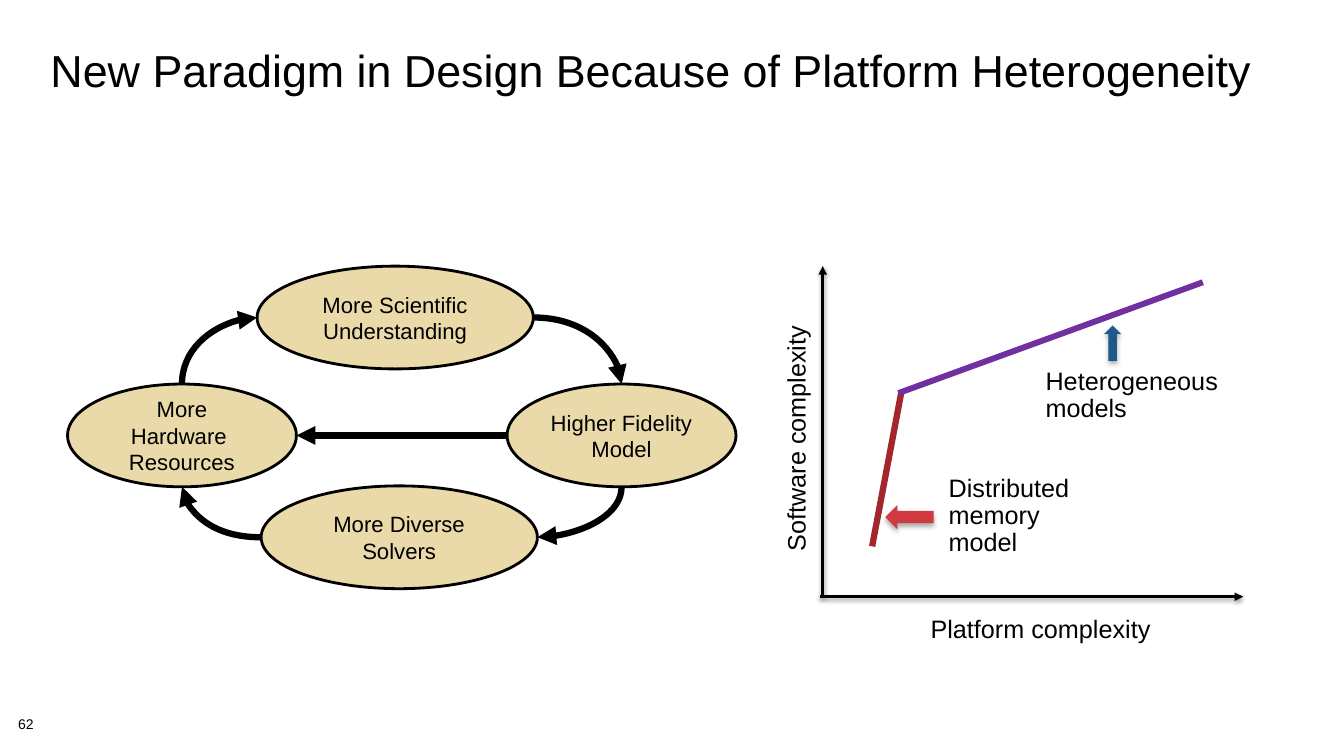
from lxml import etree
from pptx import Presentation
from pptx.dml.color import RGBColor
from pptx.enum.shapes import MSO_CONNECTOR, MSO_SHAPE
from pptx.enum.text import MSO_ANCHOR, MSO_AUTO_SIZE, PP_ALIGN
from pptx.oxml.ns import qn
from pptx.util import Inches, Pt

STRAIGHT, CURVE = MSO_CONNECTOR.STRAIGHT, MSO_CONNECTOR.CURVE
ELLIPSE, LEFT_ARROW, UP_ARROW = MSO_SHAPE.OVAL, MSO_SHAPE.LEFT_ARROW, MSO_SHAPE.UP_ARROW
LEFT, CENTER = PP_ALIGN.LEFT, PP_ALIGN.CENTER
TOP, MIDDLE = MSO_ANCHOR.TOP, MSO_ANCHOR.MIDDLE
FIT_SHAPE, NO_FIT = MSO_AUTO_SIZE.SHAPE_TO_FIT_TEXT, MSO_AUTO_SIZE.NONE

# Content, with lengths in inches
SLIDE_SIZE = (13.33, 7.5)
TITLE = "New Paradigm in Design Because of Platform Heterogeneity"
TITLE_BOX = (0.4, 0.46, 12.44, 1)
PAGE_NUMBER = "62"
BLACK, SAND = "000000", "EAD9A9"

ELLIPSE_HEIGHT = 1.02
STAGES = {  # name: (left, top, width, lines)
    "understanding": (2.55, 2.64, 2.74, ["More Scientific Understanding"]),
    "model": (5.03, 3.81, 2.27, ["Higher Fidelity", "Model"]),
    "solvers": (2.59, 4.82, 2.74, ["More Diverse", "Solvers"]),
    "hardware": (0.67, 3.81, 2.27, ["More Hardware ", "Resources"]),
}
# Connection sites of an ellipse: (index, share of width, share of height)
SITES = {"top": (0, 0.5, 0), "left": (2, 0, 0.5),
         "bottom": (4, 0.5, 1), "right": (6, 1, 0.5)}
# Clockwise cycle: each curve is turned a further quarter
CYCLE = [
    ("understanding", "right", "model", "top"),
    ("model", "bottom", "solvers", "right"),
    ("solvers", "left", "hardware", "bottom"),
    ("hardware", "top", "understanding", "left"),
]

AXIS_X, AXIS_Y = 8.16, 5.92
AXIS_SHADOW = (38, 3.1, 1.6)  # opacity in percent, blur and distance in points
ARROW_SHADOW = (32, 3.5, 2.2)
AXES = [
    ((AXIS_X - 0.03, AXIS_Y), (12.33, AXIS_Y)),
    ((AXIS_X, AXIS_Y), (AXIS_X, 2.64)),
]
TRENDS = [
    ((8.65, 5.42), (8.94, 3.89), "A2262B", 4.5),
    ((8.91, 3.9), (11.93, 2.8), "7030A0", 4.25),
]
LABELS = [  # box, rotation, wrap, lines
    ((9.1, 6.02, 2.46, 0.47), 0, False, ["Platform complexity"]),
    ((6.65, 4.1, 2.52, 0.48), 270, True, ["Software complexity"]),
    ((9.28, 4.61, 1.54, 1.02), 0, False, ["Distributed", "memory", "model"]),
    ((10.24, 3.55, 1.99, 0.75), 0, False, ["Heterogeneous", "models"]),
]
POINTERS = [
    (LEFT_ARROW, (8.78, 5.01, 0.48, 0.24), "D13940"),
    (UP_ARROW, (10.95, 3.23, 0.17, 0.35), "20588C"),
]


def color(value):
    return RGBColor.from_string(value)


def inches(values):
    return [Inches(value) for value in values]


def write(shape, lines, size, align=LEFT, spacing=1.0, insets=None, **frame_format):
    frame = shape.text_frame
    if insets is not None:
        horizontal, vertical = inches(insets)
        frame_format |= {"margin_left": horizontal, "margin_right": horizontal,
                         "margin_top": vertical, "margin_bottom": vertical}
    for name, value in frame_format.items():
        setattr(frame, name, value)
    for index, line in enumerate(lines):
        paragraph = frame.add_paragraph() if index else frame.paragraphs[0]
        paragraph.text = line
        paragraph.alignment = align
        paragraph.line_spacing = spacing
        for name, value in {"name": "Arial", "size": Pt(size)}.items():
            setattr(paragraph.font, name, value)
        paragraph.font.color.rgb = color(BLACK)


def set_effects(shape, shadow=None):
    properties = shape._element.spPr
    for old in properties.findall(qn("a:effectLst")):
        properties.remove(old)
    effects = etree.SubElement(properties, qn("a:effectLst"))
    if shadow:
        opacity, blur, distance = shadow
        outer = etree.SubElement(effects, qn("a:outerShdw"), blurRad=str(Pt(blur)),
                                 dist=str(Pt(distance)), dir="5400000", rotWithShape="0")
        tint = etree.SubElement(outer, qn("a:srgbClr"), val=BLACK)
        etree.SubElement(tint, qn("a:alpha"), val=str(opacity * 1000))


def add_line(slide, start, end, line_color, width, kind=STRAIGHT, arrow=True, shadow=None):
    line = slide.shapes.add_connector(kind, *inches(start + end))
    line.line.color.rgb = color(line_color)
    line.line.width = Pt(width)
    if arrow:
        etree.SubElement(line.line._get_or_add_ln(), qn("a:tailEnd"), type="triangle")
    set_effects(line, shadow)
    return line


def site_point(stage, side):
    left, top, width, _ = STAGES[stage]
    _, across, down = SITES[side]
    return (left + across * width, top + down * ELLIPSE_HEIGHT)


def add_curve(slide, ellipses, link, turns):
    source, source_side, target, target_side = link
    start, end = site_point(source, source_side), site_point(target, target_side)
    middle = [(a + b) / 2 for a, b in zip(start, end)]
    half = [abs(a - b) / 2 for a, b in zip(start, end)]
    if turns % 2:
        half.reverse()
    first = tuple(m - h for m, h in zip(middle, half))
    last = tuple(m + h for m, h in zip(middle, half))
    curve = add_line(slide, first, last, BLACK, 4.5, CURVE)
    properties = curve._element.spPr
    properties.find(qn("a:prstGeom")).set("prst", "curvedConnector2")
    properties.find(qn("a:xfrm")).set("rot", str(turns * 5400000))
    # Glue both ends to the ellipses
    joints = curve._element.find(qn("p:nvCxnSpPr")).find(qn("p:cNvCxnSpPr"))
    for tag, stage, side in (("a:stCxn", source, source_side), ("a:endCxn", target, target_side)):
        etree.SubElement(joints, qn(tag), id=str(ellipses[stage].shape_id),
                         idx=str(SITES[side][0]))


def add_cycle(slide):
    ellipses = {}
    for name, (left, top, width, lines) in STAGES.items():
        ellipse = slide.shapes.add_shape(ELLIPSE, *inches((left, top, width, ELLIPSE_HEIGHT)))
        ellipse.fill.solid()
        ellipse.fill.fore_color.rgb = color(SAND)
        ellipse.line.color.rgb = color(BLACK)
        ellipse.line.width = Pt(2)
        ellipse.shadow.inherit = False
        write(ellipse, lines, 15.8, CENTER, vertical_anchor=MIDDLE, word_wrap=True)
        ellipses[name] = ellipse
    for turns, link in enumerate(CYCLE):
        add_curve(slide, ellipses, link, turns)
    add_line(slide, site_point("model", "left"), site_point("hardware", "right"), BLACK, 4.5)


def add_graph(slide):
    for start, end in AXES:
        add_line(slide, start, end, BLACK, 2, shadow=AXIS_SHADOW)
    for start, end, line_color, width in TRENDS:
        add_line(slide, start, end, line_color, width, arrow=False)
    for box, rotation, wrap, lines in LABELS:
        label = slide.shapes.add_textbox(*inches(box))
        label.rotation = rotation
        write(label, lines, 18, spacing=0.9, insets=(0.13, 0.1), word_wrap=wrap,
              vertical_anchor=MIDDLE, auto_size=FIT_SHAPE)
    for kind, box, fill in POINTERS:
        pointer = slide.shapes.add_shape(kind, *inches(box))
        pointer.fill.solid()
        pointer.fill.fore_color.rgb = color(fill)
        pointer.line.fill.background()
        set_effects(pointer, ARROW_SHADOW)


def main():
    presentation = Presentation()
    presentation.slide_width, presentation.slide_height = inches(SLIDE_SIZE)
    slide = presentation.slides.add_slide(presentation.slide_layouts[5])

    # Title and page number
    title = slide.shapes.title
    title.left, title.top, title.width, title.height = inches(TITLE_BOX)
    write(title, [TITLE], 32, spacing=0.85, insets=(0.1, 0.05),
          vertical_anchor=TOP, word_wrap=True, auto_size=NO_FIT)
    number = slide.shapes.add_textbox(*inches((0.18, 7.12, 0.56, 0.16)))
    write(number, [PAGE_NUMBER], 10, spacing=0.9, insets=(0, 0), word_wrap=True)

    add_cycle(slide)
    add_graph(slide)
    presentation.save("out.pptx")


if __name__ == "__main__":
    main()
